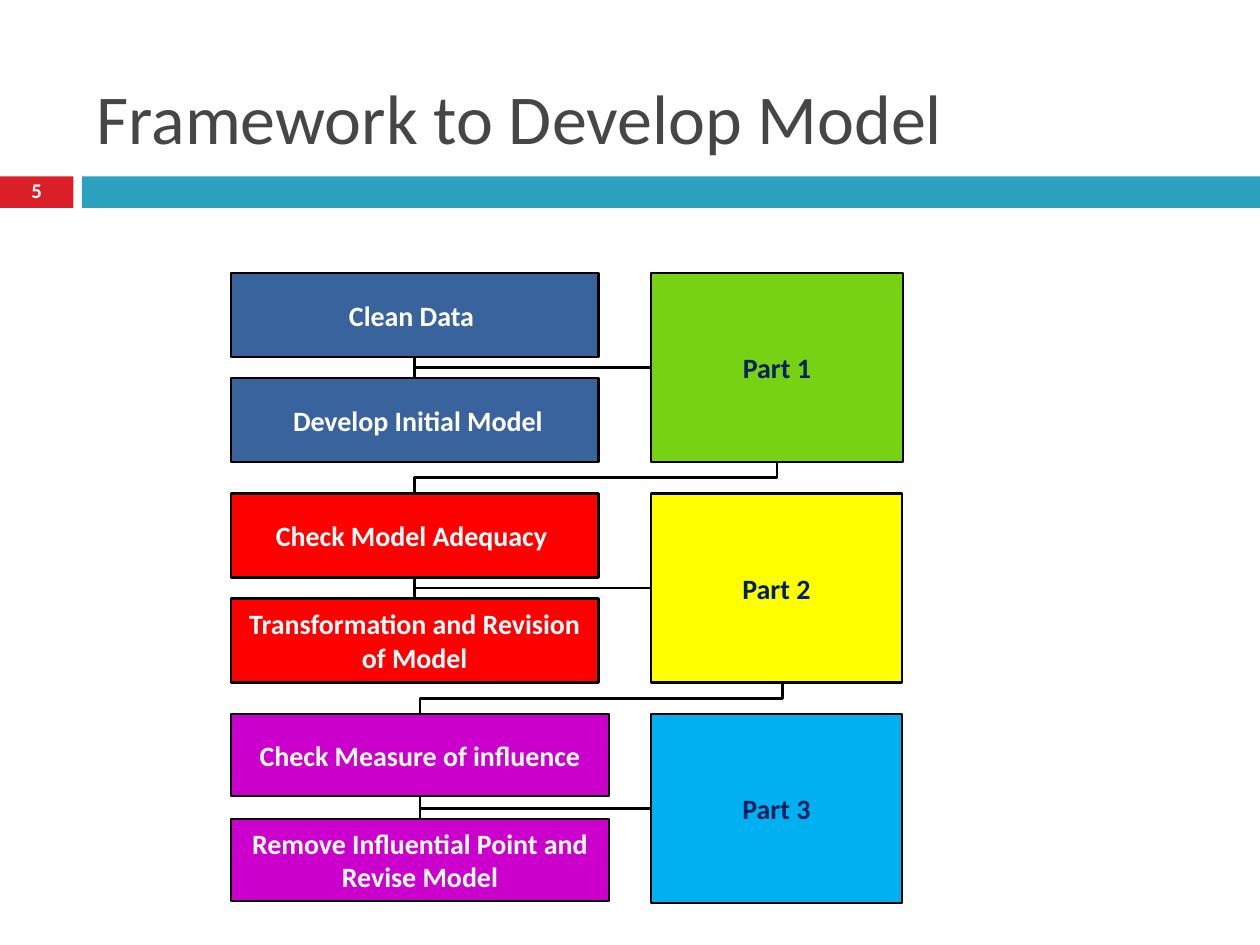
from dataclasses import dataclass

import pptx
import pptx.dml.color
import pptx.enum.shapes
import pptx.enum.text
import pptx.oxml.ns
import pptx.util
from lxml import etree

RGBColor = pptx.dml.color.RGBColor
PP_ALIGN = pptx.enum.text.PP_ALIGN
MIDDLE = pptx.enum.text.MSO_ANCHOR.MIDDLE
ELBOW = pptx.enum.shapes.MSO_CONNECTOR.ELBOW
RECTANGLE = pptx.enum.shapes.MSO_SHAPE.RECTANGLE

WHITE = RGBColor(0xFF, 0xFF, 0xFF)
BLACK = RGBColor(0x00, 0x00, 0x00)
GRAY = RGBColor(0x46, 0x46, 0x46)
NAVY = RGBColor(0x00, 0x20, 0x60)
CRIMSON = RGBColor(0xDA, 0x1F, 0x28)
TEAL = RGBColor(0x2D, 0xA2, 0xBF)
BLUE = RGBColor(0x39, 0x63, 0x9D)
RED = RGBColor(0xFF, 0x00, 0x00)
PURPLE = RGBColor(0xCC, 0x00, 0xCC)
GREEN = RGBColor(0x78, 0xD2, 0x14)
YELLOW = RGBColor(0xFF, 0xFF, 0x00)
SKY = RGBColor(0x00, 0xB0, 0xF0)

# Grid of 120 columns by 90 rows: one cell is 1/12 inch square.
CELL = pptx.util.Inches(1) / 12
LINE_WIDTH = pptx.util.Pt(1.5)
STEP_LEFT, PART_LEFT = 22, 62
FIRST_ROW, STAGE_PITCH, STEP_PITCH = 26, 21, 10
PART_HEIGHT = 18


@dataclass
class Stage:
    """Two steps and the part they belong to; sizes are in grid cells."""
    label: str
    steps: tuple[str, str]
    step_color: RGBColor
    part_color: RGBColor
    step_width: float = 35
    step_height: float = 8
    part_width: float = 23.9
    exit_column: float = 74


STAGES = [
    Stage("Part 1", ("Clean Data ", " Develop Initial Model"), BLUE, GREEN, part_width=24),
    Stage("Part 2", ("Check Model Adequacy ", "Transformation and Revision of Model"),
          RED, YELLOW, exit_column=74.5),
    Stage("Part 3", ("Check Measure of influence", "Remove Influential Point and Revise Model"),
          PURPLE, SKY, step_width=36, step_height=7.8),
]


def cells(*counts: float) -> list[int]:
    """Turn grid counts into lengths."""
    return [round(count * CELL) for count in counts]


def write_text(shape, text: str, *, size: float, color: RGBColor, bold: bool = False,
               align=PP_ALIGN.CENTER, line_spacing: float | None = None) -> None:
    frame = shape.text_frame
    frame.word_wrap = True
    frame.auto_size = pptx.enum.text.MSO_AUTO_SIZE.NONE
    frame.vertical_anchor = MIDDLE
    paragraph = frame.paragraphs[0]
    paragraph.alignment = align
    paragraph.line_spacing = line_spacing
    run = paragraph.add_run()
    run.text = text
    run.font.name = "Calibri"
    run.font.size = pptx.util.Pt(size)
    run.font.bold = bold
    run.font.color.rgb = color


def add_box(slide, left: float, top: float, width: float, height: float,
            fill: RGBColor, outlined: bool = True):
    shape = slide.shapes.add_shape(RECTANGLE, *cells(left, top, width, height))
    shape.shadow.inherit = False
    shape.fill.solid()
    shape.fill.fore_color.rgb = fill
    if outlined:
        shape.line.color.rgb = BLACK
        shape.line.width = LINE_WIDTH
    else:
        shape.line.fill.background()
    return shape


def add_elbow(slide, start: tuple[float, float], end: tuple[float, float]):
    connector = slide.shapes.add_connector(ELBOW, *cells(*start, *end))
    connector.line.color.rgb = BLACK
    connector.line.width = LINE_WIDTH
    etree.SubElement(connector._element.spPr, pptx.oxml.ns.qn("a:effectLst"))
    return connector


def add_corner(slide, start: tuple[float, float], end: tuple[float, float]) -> None:
    """Run sideways from start, then up or down to end."""
    properties = add_elbow(slide, start, end)._element.spPr
    properties.find(pptx.oxml.ns.qn("a:prstGeom")).set("prst", "bentConnector2")


def add_descent(slide, start: tuple[float, float], end: tuple[float, float]) -> None:
    """Run down from start, left, and down to end: an elbow turned by 90 degrees."""
    middle_x, middle_y = (start[0] + end[0]) / 2, (start[1] + end[1]) / 2
    half_run, half_drop = (start[0] - end[0]) / 2, (end[1] - start[1]) / 2
    connector = add_elbow(slide, (middle_x - half_drop, middle_y - half_run),
                          (middle_x + half_drop, middle_y + half_run))
    transform = connector._element.spPr.find(pptx.oxml.ns.qn("a:xfrm"))
    transform.set("rot", str(90 * 60000))


def add_stage(slide, stage: Stage, top: float) -> None:
    for index, step in enumerate(stage.steps):
        box = add_box(slide, STEP_LEFT, top + index * STEP_PITCH,
                      stage.step_width, stage.step_height, stage.step_color)
        write_text(box, step, size=16, color=WHITE, bold=True)
    part_box = add_box(slide, PART_LEFT, top, stage.part_width, PART_HEIGHT, stage.part_color)
    write_text(part_box, stage.label, size=16, color=NAVY, bold=True)
    center = STEP_LEFT + stage.step_width / 2
    for step_edge in (top + stage.step_height, top + STEP_PITCH):
        add_corner(slide, (PART_LEFT, top + PART_HEIGHT / 2), (center, step_edge))


def add_header(slide) -> None:
    add_box(slide, 0, 16.8, 7, 3, CRIMSON, outlined=False)
    add_box(slide, 7.8, 16.8, 112.2, 3, TEAL, outlined=False)
    title = slide.shapes.title
    title.left, title.top, title.width, title.height = cells(8, 4.6, 115, 13)
    write_text(title, "Framework to Develop Model", size=40, color=GRAY, align=PP_ALIGN.LEFT)
    number = slide.shapes.add_textbox(*cells(0, 16.7, 7, 3.2))
    write_text(number, "5", size=11.9, color=WHITE, bold=True, line_spacing=0.8)


def main() -> None:
    presentation = pptx.Presentation()
    presentation.slide_width, presentation.slide_height = cells(120, 90)
    slide = presentation.slides.add_slide(presentation.slide_layouts.get_by_name("Title Only"))
    add_header(slide)
    tops = [FIRST_ROW + index * STAGE_PITCH for index in range(len(STAGES))]
    for stage, top in zip(STAGES, tops):
        add_stage(slide, stage, top)
    for stage, following, top in zip(STAGES, STAGES[1:], tops):
        add_descent(slide, (stage.exit_column, top + PART_HEIGHT),
                    (STEP_LEFT + following.step_width / 2, top + STAGE_PITCH))
    presentation.save("out.pptx")


if __name__ == "__main__":
    main()
